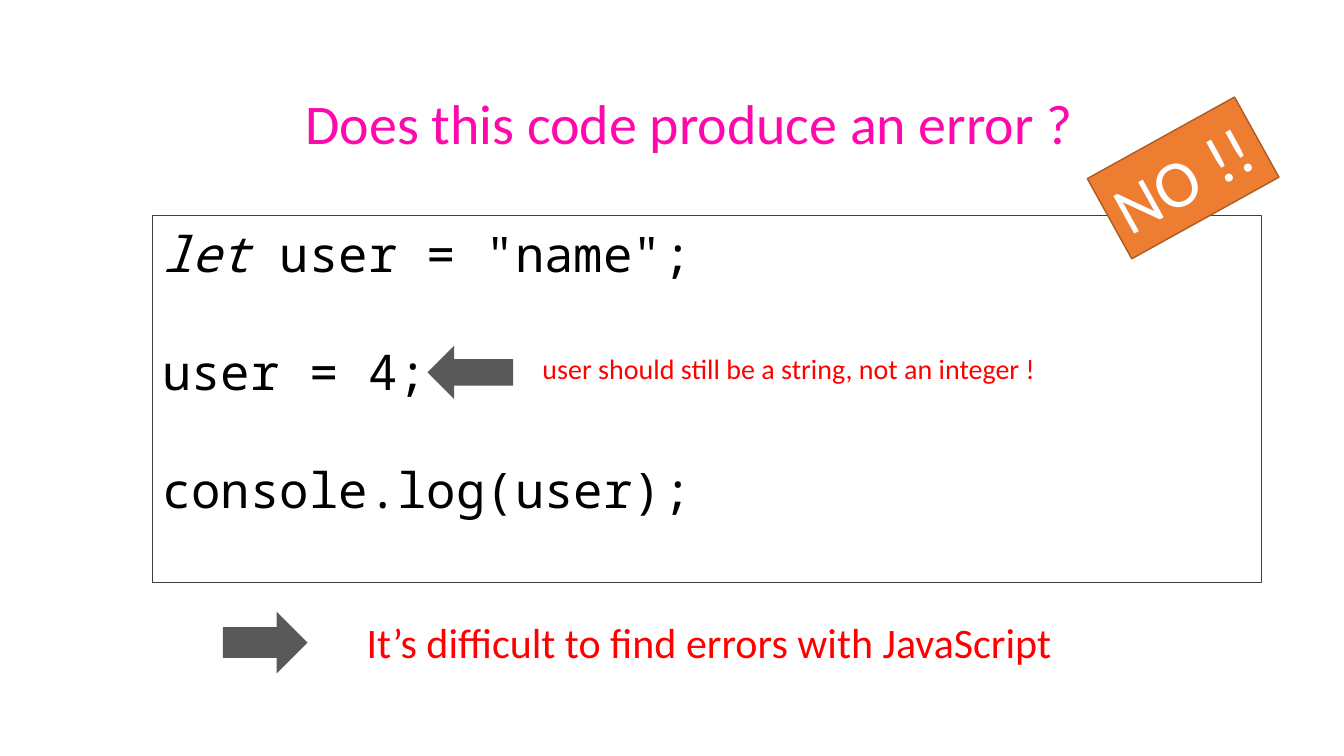
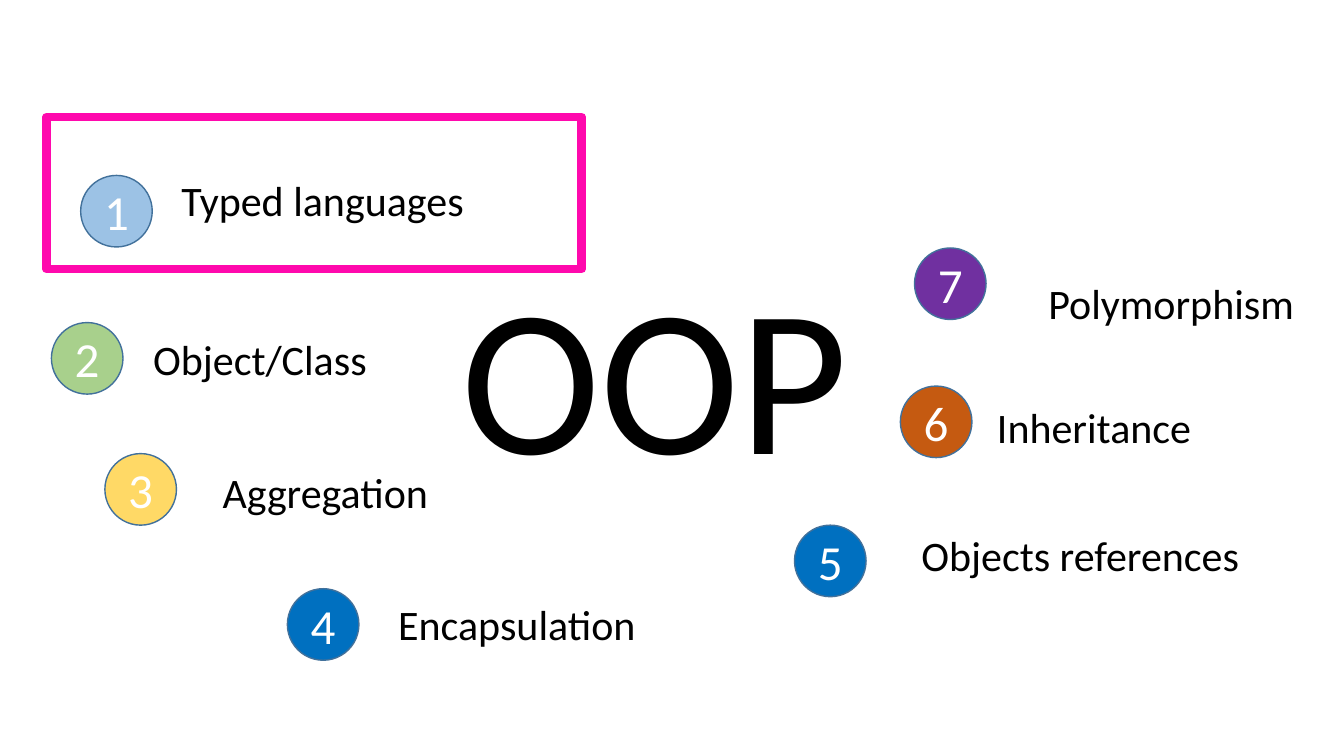
from pptx import Presentation
from pptx import util as u
from pptx.dml.color import RGBColor
from pptx.enum import shapes, text

COLORS = {
    "black": "000000", "white": "FFFFFF", "pink": "FF09AD", "red": "FF0000",
    "frame": "3F3F3F", "arrow": "595959", "orange": "ED7D31",
    "rust": "AC5B23", "ring": "42719B", "sky": "9CC2E5", "green": "A8D08C",
    "yellow": "FFD966", "blue": "0070C0", "brown": "C55A11", "purple": "7030A0",
}
SHAPE = shapes.MSO_SHAPE
LEFT, CENTER = text.PP_ALIGN.LEFT, text.PP_ALIGN.CENTER
TOP, MIDDLE = text.MSO_ANCHOR.TOP, text.MSO_ANCHOR.MIDDLE


def rgb(name):
    return RGBColor.from_string(COLORS[name])


def add_run(p, content, size=30, color="black", font="Calibri", italic=False):
    r = p.add_run()
    r.text = content
    r.font.size = u.Pt(size)
    r.font.name = font
    r.font.italic = italic
    r.font.color.rgb = rgb(color)


class Deck:
    CODE = {"size": 35, "font": "Noto Sans Mono"}
    CODE_LEADING = u.Pt(42)
    DISC = 0.71
    LABEL_HEIGHT = 0.61

    def __init__(self):
        self.prs = Presentation()
        self.prs.slide_width = u.Inches(13.33)
        self.prs.slide_height = u.Inches(7.5)
        self.s = None

    def new_slide(self):
        self.s = self.prs.slides.add_slide(self.prs.slide_layouts[6])

    def frame(self, sp, align=LEFT, anchor=TOP):
        tf = sp.text_frame
        tf.word_wrap = True
        tf.vertical_anchor = anchor
        tf.paragraphs[0].alignment = align
        return tf

    def label(self, box, content, align=LEFT, **fmt):
        sp = self.s.shapes.add_textbox(*map(u.Inches, box))
        add_run(self.frame(sp, align).paragraphs[0], content, **fmt)

    def shape(self, kind, box, fill=None, line=None, width=1):
        sp = self.s.shapes.add_shape(kind, *map(u.Inches, box))
        sp.shadow.inherit = False
        if fill:
            sp.fill.solid()
            sp.fill.fore_color.rgb = rgb(fill)
        else:
            sp.fill.background()
        if line:
            sp.line.color.rgb = rgb(line)
            sp.line.width = u.Pt(width)
        else:
            sp.line.fill.background()
        return sp

    def code(self, box, lines):
        tf = self.frame(self.shape(SHAPE.RECTANGLE, box, line="frame", width=0.75))
        tf.margin_top = u.Inches(0.08)
        for i, (keyword, rest) in enumerate(lines):
            p = tf.add_paragraph() if i else tf.paragraphs[0]
            p.alignment = LEFT
            p.line_spacing = self.CODE_LEADING
            p.space_before = self.CODE_LEADING if i else u.Pt(0)
            if keyword:
                add_run(p, keyword, italic=True, **self.CODE)
            add_run(p, rest, **self.CODE)

    def stamp(self, box, content, angle):
        sp = self.shape(SHAPE.RECTANGLE, box, "orange", "rust")
        sp.rotation = angle
        add_run(self.frame(sp).paragraphs[0], content, size=48, color="white")

    def topic(self, number, name, fill, disc_at, label_at):
        self.label((*label_at, 3.5, self.LABEL_HEIGHT), name)
        sp = self.shape(SHAPE.OVAL, (*disc_at, self.DISC, self.DISC), fill, "ring")
        p = self.frame(sp, CENTER, MIDDLE).paragraphs[0]
        add_run(p, str(number), size=35, color="white")


def error_slide(deck):
    deck.new_slide()
    deck.code((1.51, 2.14, 11, 3.64), [
        ("let", ' user = "name";'),
        ("", "user = 4;"),
        ("", "console.log(user);"),
    ])
    deck.label((2.89, 0.83, 7.89, 0.77), "Does this code produce an error ?",
               CENTER, size=40, color="pink")
    deck.shape(SHAPE.LEFT_ARROW, (4.24, 3.43, 0.85, 0.53), "arrow")
    deck.label((5.21, 3.44, 5.23, 0.44),
               "user should still be a string, not an integer !",
               CENTER, size=20, color="red")
    deck.stamp((10.9, 1.31, 1.67, 0.91), "NO !!", 331)
    deck.label((3.4, 6.07, 7.27, 0.61),
               "It’s difficult to find errors with JavaScript",
               CENTER, color="red")
    deck.shape(SHAPE.RIGHT_ARROW, (2.21, 6.07, 0.84, 0.61), "arrow")


def topics_slide(deck):
    deck.new_slide()
    deck.label((4.48, 2.38, 4.08, 2.63), "OOP", size=150)
    topics = [
        ("Typed languages", "sky", (0.8, 1.74), (1.7, 1.68)),
        ("Object/Class", "green", (0.51, 3.2), (1.42, 3.26)),
        ("Aggregation", "yellow", (1.04, 4.5), (2.11, 4.58)),
        ("Encapsulation", "blue", (2.85, 5.84), (3.85, 5.89)),
        ("Objects references", "blue", (7.88, 5.21), (9.04, 5.2)),
        ("Inheritance", "brown", (8.93, 3.83), (9.79, 3.93)),
        ("Polymorphism", "purple", (9.07, 2.46), (10.3, 2.7)),
    ]
    for number, topic in enumerate(topics, 1):
        deck.topic(number, *topic)
    deck.shape(SHAPE.RECTANGLE, (0.46, 1.16, 5.31, 1.51), line="pink", width=6)


def main():
    deck = Deck()
    error_slide(deck)
    topics_slide(deck)
    deck.prs.save("out.pptx")


if __name__ == "__main__":
    main()
